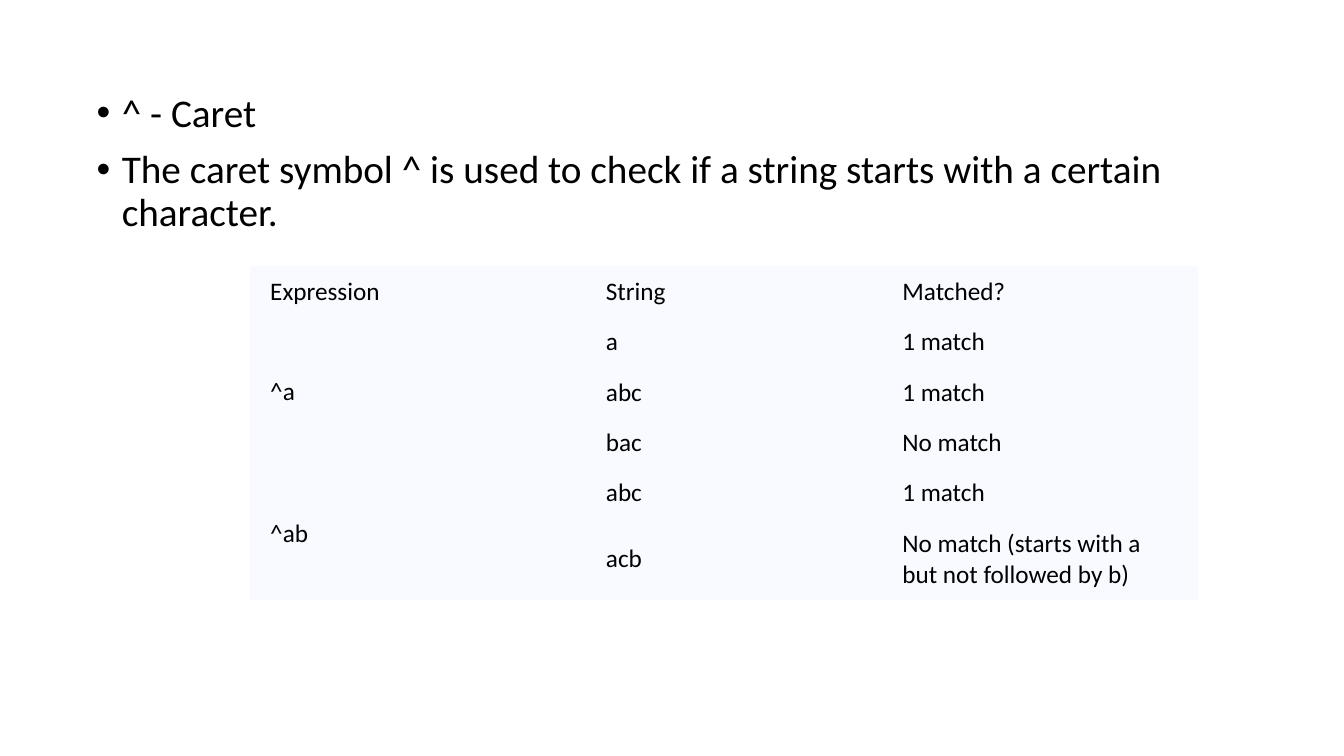
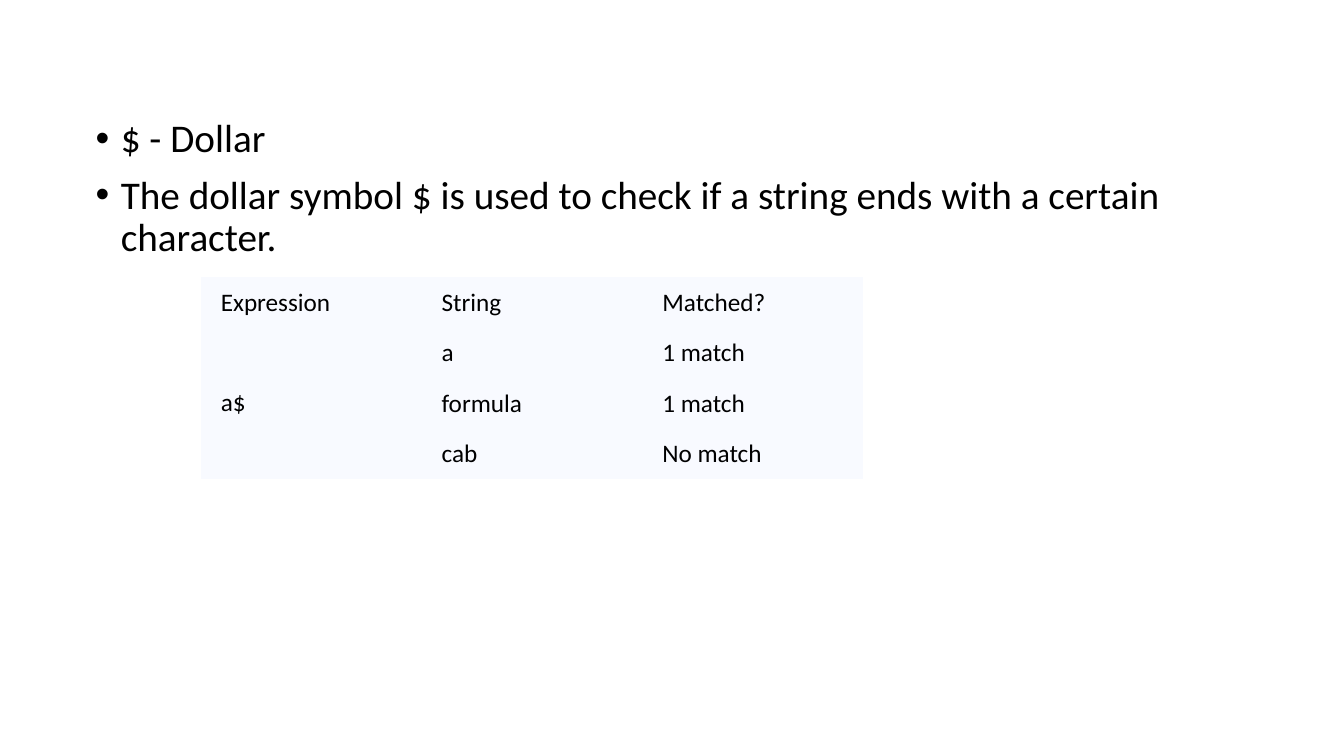
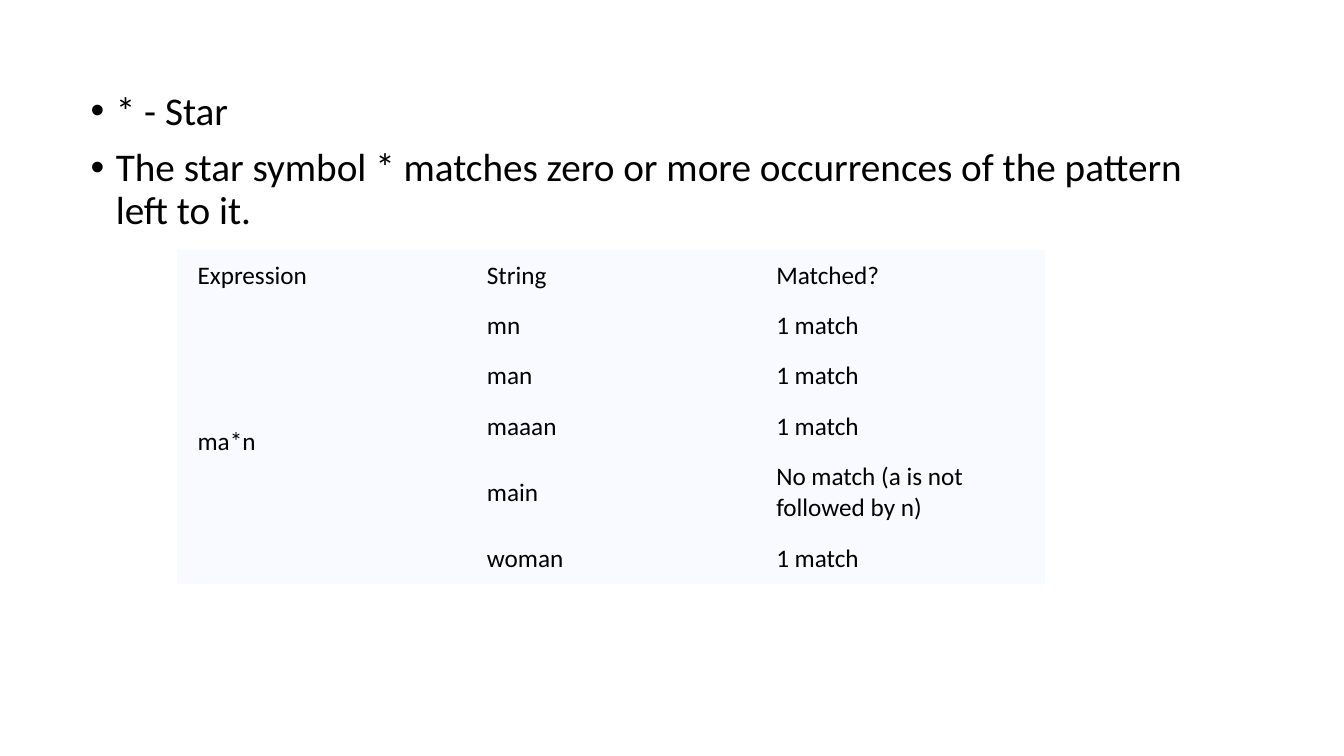
from pptx import Presentation
from pptx.dml.color import RGBColor
from pptx.enum.text import MSO_ANCHOR
from pptx.oxml.ns import qn
from pptx.oxml.xmlchemy import OxmlElement
from pptx.util import Pt

PX = 9144
MIDDLE = MSO_ANCHOR.MIDDLE
FONT = "Calibri"
COLORS = {"text": "000000", "cell": "F8FAFF"}
NO_GRID = "{2D5ABB26-0587-4C30-8999-92F81FD0307C}"
HEADER = ("Expression", "String", "Matched?")
ROW_H, TALL_ROW_H = 50, 81
INDENT = 25

SLIDES = [
    {
        "body": (86, 88, 1155, 587),
        "bullets": ["^ - Caret",
                    "The caret symbol ^ is used to check if a string starts with a certain character."],
        "table": (248, 264),
        "cols": (333, 294, 313),
        "groups": [
            ("^a", [("a", "1 match"), ("abc", "1 match"), ("bac", "No match")]),
            ("^ab", [("abc", "1 match"),
                     ("acb", "No match (starts with a but not followed by b)")]),
        ],
    },
    {
        "body": (85, 113, 1156, 563),
        "bullets": ["$ - Dollar",
                    "The dollar symbol $ is used to check if a string ends with a certain character."],
        "table": (199, 275),
        "cols": (219, 219, 219),
        "groups": [
            ("a$", [("a", "1 match"), ("formula", "1 match"), ("cab", "No match")]),
        ],
    },
    {
        "body": (80, 86, 1162, 589),
        "bullets": ["* - Star",
                    "The star symbol * matches zero or more occurrences of the pattern left to it."],
        "table": (176, 248),
        "cols": (287, 287, 287),
        "groups": [
            ("ma*n", [("mn", "1 match"), ("man", "1 match"), ("maaan", "1 match"),
                      ("main", "No match (a is not followed by n)"),
                      ("woman", "1 match")]),
        ],
    },
]


def style(p, size):
    p.font.name = FONT
    p.font.size = Pt(size)
    p.font.color.rgb = RGBColor.from_string(COLORS["text"])


def px(*lengths):
    return [n * PX for n in lengths]


prs = Presentation()
prs.slide_width, prs.slide_height = px(1333, 750)

for data in SLIDES:
    s = prs.slides.add_slide(prs.slide_layouts[6])

    tf = s.shapes.add_textbox(*px(*data["body"])).text_frame
    tf.word_wrap = True
    for i, text in enumerate(data["bullets"]):
        p = tf.add_paragraph() if i else tf.paragraphs[0]
        p.text = text
        p.line_spacing = 0.9
        p.space_before = Pt(10 if i else 0)
        pPr = p._p.get_or_add_pPr()
        pPr.set("marL", str(INDENT * PX))
        pPr.set("indent", str(-INDENT * PX))
        font = OxmlElement("a:buFont")
        font.set("typeface", "Arial")
        bullet = OxmlElement("a:buChar")
        bullet.set("char", "•")
        pPr.extend([font, bullet])
        style(p, 28)

    rows = [HEADER]
    merges = []
    for expression, cases in data["groups"]:
        merges.append((len(rows), len(rows) + len(cases) - 1))
        for i, (string, matched) in enumerate(cases):
            rows.append(("" if i else expression, string, matched))
    heights = [TALL_ROW_H if "(" in row[2] else ROW_H for row in rows]

    frame = s.shapes.add_table(len(rows), len(HEADER),
                               *px(*data["table"], sum(data["cols"]), sum(heights)))
    table = frame.table
    table.first_row = False
    table.horz_banding = False
    table._tbl.tblPr.find(qn("a:tableStyleId")).text = NO_GRID
    for column, width in zip(table.columns, data["cols"]):
        column.width = width * PX
    for r, (row, height) in enumerate(zip(rows, heights)):
        table.rows[r].height = height * PX
        for c, text in enumerate(row):
            cell = table.cell(r, c)
            cell.text = text
            cell.fill.solid()
            cell.fill.fore_color.rgb = RGBColor.from_string(COLORS["cell"])
            cell.vertical_anchor = MIDDLE
            cell.margin_left = cell.margin_right = 20 * PX
            cell.margin_top = cell.margin_bottom = 10 * PX
            style(cell.text_frame.paragraphs[0], 18)
    for first, last in merges:
        table.cell(first, 0).merge(table.cell(last, 0))

prs.save("out.pptx")
